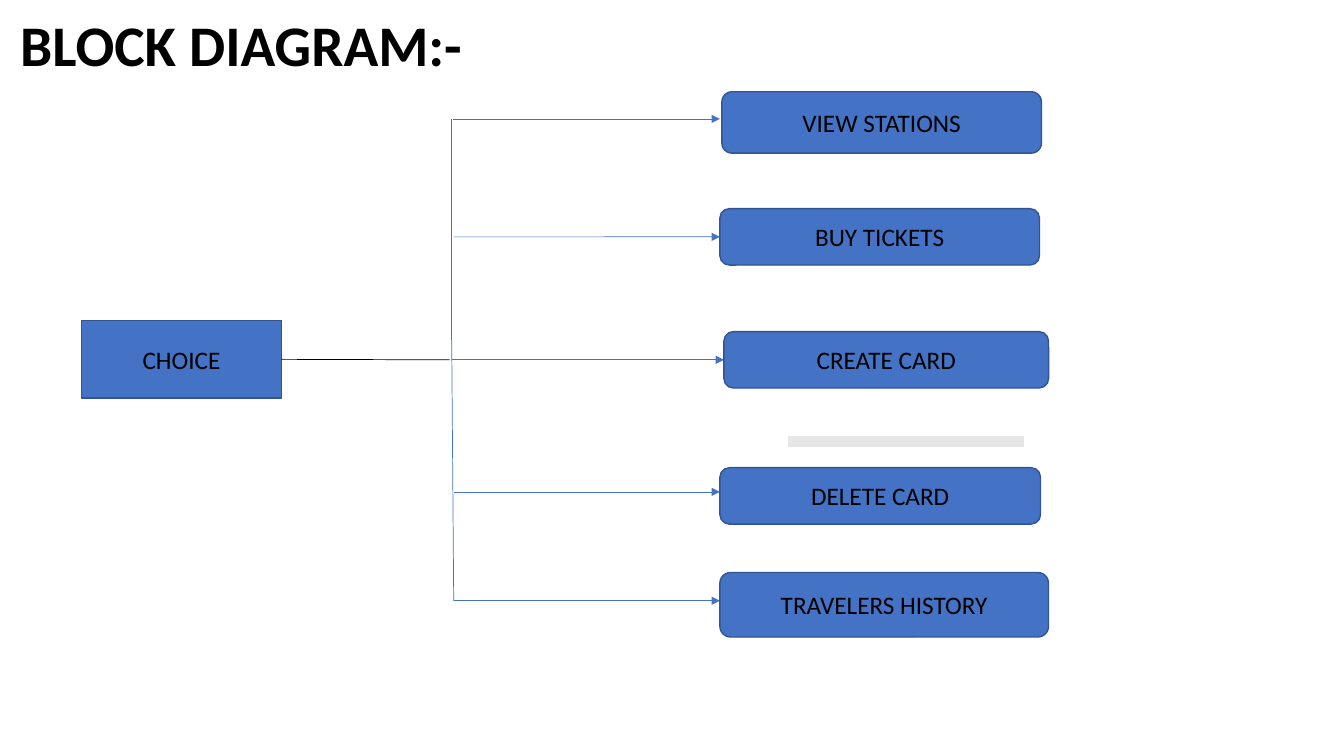
from lxml import etree
from pptx import Presentation
from pptx.dml.color import RGBColor
from pptx.enum.shapes import MSO_CONNECTOR, MSO_SHAPE
from pptx.enum.text import MSO_ANCHOR, PP_ALIGN
from pptx.oxml.ns import qn
from pptx.util import Inches, Pt

BLUE, BORDER, BLACK, GREY = "4472C4", "325491", "000000", "E7E6E6"
LEFT_SIDE, RIGHT_SIDE = 1, 3

presentation = Presentation()
presentation.slide_width = Inches(13.33)
presentation.slide_height = Inches(7.5)
slide = presentation.slides.add_slide(presentation.slide_layouts[6])


def add_line(start, end, color=BLUE, width=0.5, arrow=False):
    connector = slide.shapes.add_connector(
        MSO_CONNECTOR.STRAIGHT, *(Inches(length) for length in start + end))
    connector.line.color.rgb = RGBColor.from_string(color)
    connector.line.width = Pt(width)
    if arrow:
        etree.SubElement(connector.line._get_or_add_ln(), qn("a:tailEnd"), type="triangle")
    properties = connector._element.spPr
    etree.SubElement(properties, qn("a:effectLst"))
    return connector


def add_block(kind, label, left, top, width, height):
    block = slide.shapes.add_shape(
        kind, Inches(left), Inches(top), Inches(width), Inches(height))
    block.shadow.inherit = False
    block.fill.solid()
    block.fill.fore_color.rgb = RGBColor.from_string(BLUE)
    block.line.color.rgb = RGBColor.from_string(BORDER)
    block.line.width = Pt(1)
    block.text_frame.vertical_anchor = MSO_ANCHOR.MIDDLE
    paragraph = block.text_frame.paragraphs[0]
    paragraph.alignment = PP_ALIGN.CENTER
    run = paragraph.add_run()
    run.text = label
    run.font.name, run.font.size = "Calibri", Pt(18)
    run.font.color.rgb = RGBColor.from_string(BLACK)
    return block


# Grey bar behind the diagram
add_line((7.82, 4.38), (10.16, 4.38), GREY, 8)

# Title
title = slide.shapes.add_textbox(Inches(0.2), Inches(0.11), Inches(5.4), Inches(0.67))
frame = title.text_frame
frame.word_wrap = True
frame.vertical_anchor = MSO_ANCHOR.BOTTOM
frame.margin_left = frame.margin_right = frame.margin_top = frame.margin_bottom = 0
frame.paragraphs[0].line_spacing = 0.9
title_run = frame.paragraphs[0].add_run()
title_run.text = "BLOCK DIAGRAM:-"
title_run.font.name, title_run.font.size, title_run.font.bold = "Calibri", Pt(41), True
title_run.font.color.rgb = RGBColor.from_string(BLACK)

# Choice block and the trunk it feeds
choice = add_block(MSO_SHAPE.RECTANGLE, "CHOICE", 0.81, 3.18, 1.98, 0.77)
stem = add_line((2.79, 3.57), (4.46, 3.57), BLACK)
stem.begin_connect(choice, RIGHT_SIDE)
add_line((4.48, 3.37), (4.48, 1.18))
add_line((4.48, 3.37), (4.5, 5.96))

# Options: label, left, top, width, height, branch start, branch height
options = [
    ("VIEW STATIONS", 7.16, 0.91, 3.17, 0.61, 4.49, 1.18),
    ("BUY TICKETS", 7.14, 2.07, 3.17, 0.56, 4.5, 2.35),
    ("CREATE CARD", 7.18, 3.29, 3.22, 0.56, 4.48, 3.57),
    ("DELETE CARD", 7.14, 4.64, 3.18, 0.56, 4.5, 4.88),
    ("TRAVELERS HISTORY", 7.14, 5.68, 3.26, 0.64, 4.5, 5.96),
]
for label, left, top, width, height, branch_x, branch_y in options:
    branch = add_line((branch_x, branch_y), (7.14, branch_y), arrow=True)
    option = add_block(MSO_SHAPE.ROUNDED_RECTANGLE, label, left, top, width, height)
    if abs(top + height / 2 - branch_y) < 0.01:
        branch.end_connect(option, LEFT_SIDE)

presentation.save("out.pptx")
